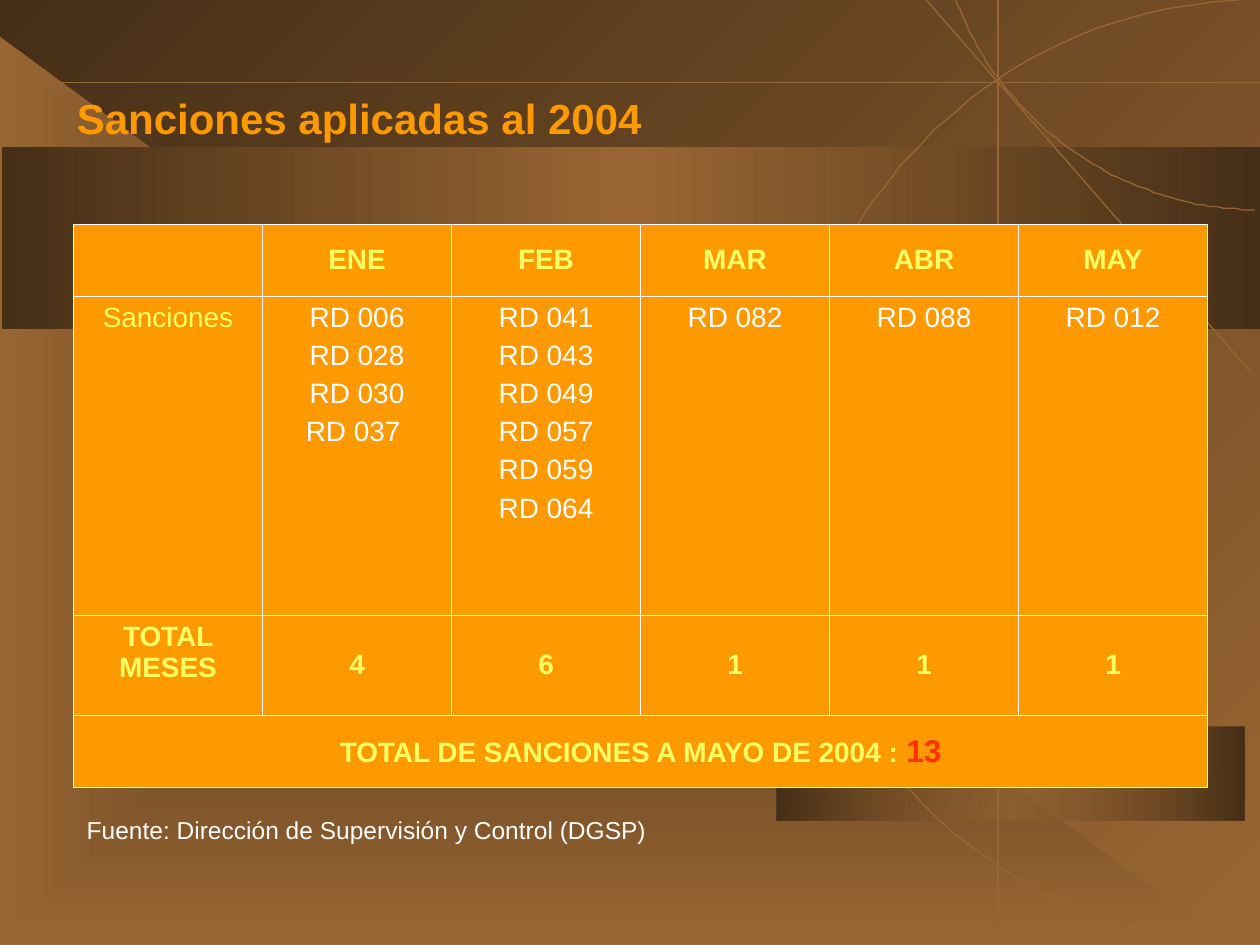
import math

import pptx
import pptx.dml.color
import pptx.enum.shapes
import pptx.enum.text
import pptx.oxml.ns
import pptx.util
from lxml import etree

Pt = pptx.util.Pt
qn = pptx.oxml.ns.qn
SHAPES = pptx.enum.shapes.MSO_SHAPE
ALIGN = pptx.enum.text.PP_ALIGN
ANCHOR = pptx.enum.text.MSO_ANCHOR
BROWN, DARK, ORANGE = "996633", "462F17", "FF9900"
YELLOW, WHITE, RED = "FFFF66", "FFFFFF", "FF3300"
SHEEN = [(0, DARK, 100), (50, BROWN, 100), (100, DARK, 100)]
CLEAR_SHEEN = [(0, DARK, 100), (50, BROWN, 50), (100, DARK, 100)]
MONTHS = {
    "ENE": ["RD 006", "RD 028", "RD 030", "RD 037 "],
    "FEB": ["RD 041", "RD 043", "RD 049", "RD 057", "RD 059", "RD 064"],
    "MAR": ["RD 082"],
    "ABR": ["RD 088"],
    "MAY": ["RD 012"],
}


def color(value):
    """Turn a hex string into a colour."""
    return pptx.dml.color.RGBColor.from_string(value)


def add_span(para, text, size, value, bold=False):
    """Add one formatted run to a paragraph."""
    span = para.add_run()
    span.text = text
    span.font.name = "Arial"
    span.font.size = Pt(size)
    span.font.bold = bold
    span.font.color.rgb = color(value)


def set_gradient(fill, element, stops, angle=None):
    """Fill with a linear gradient, or one from the centre without an angle."""
    fill.gradient()
    node = element.find(".//" + qn("a:gradFill"))
    node.clear()
    stop_list = etree.SubElement(node, qn("a:gsLst"))
    for place, value, opacity in stops:
        stop = etree.SubElement(stop_list, qn("a:gs"), pos=str(place * 1000))
        tone = etree.SubElement(stop, qn("a:srgbClr"), val=value)
        if opacity < 100:
            etree.SubElement(tone, qn("a:alpha"), val=str(opacity * 1000))
    if angle is None:
        route = etree.SubElement(node, qn("a:path"), path="rect")
        etree.SubElement(route, qn("a:fillToRect"), l="50000", t="50000", r="50000", b="50000")
    else:
        etree.SubElement(node, qn("a:lin"), ang=str(angle * 60000), scaled="1")


def add_panel(page, kind, box, stops, angle=None):
    """Add a borderless gradient shape."""
    panel = page.shapes.add_shape(kind, *map(Pt, box))
    panel.shadow.inherit = False
    panel.line.fill.background()
    set_gradient(panel.fill, panel.element, stops, angle)


def style_line(line):
    """Give a line the thin brown look."""
    line.color.rgb = color(BROWN)
    line.width = Pt(0.75)


def add_arc(page, center, radius, start, end):
    """Draw an open circular arc between two angles in degrees."""
    steps = 60
    angles = [math.radians(start + (end - start) * step / steps) for step in range(steps + 1)]
    points = [(center[0] + radius * math.cos(angle), center[1] + radius * math.sin(angle))
              for angle in angles]
    builder = page.shapes.build_freeform(*points[0], scale=Pt(1))
    builder.add_line_segments(points[1:], close=False)
    arc = builder.convert_to_shape()
    arc.shadow.inherit = False
    arc.fill.background()
    style_line(arc.line)


def add_ray(page, start, end):
    """Draw a thin straight line."""
    ray = page.shapes.add_connector(
        pptx.enum.shapes.MSO_CONNECTOR.STRAIGHT, *map(Pt, start + end))
    style_line(ray.line)
    etree.SubElement(ray.element.spPr, qn("a:effectLst"))


def add_backdrop(page, width, height):
    """Draw the gradient background with its panels, arcs and rays."""
    set_gradient(page.background.fill, page.element, [(0, BROWN, 100), (100, DARK, 100)], 225)
    add_panel(page, SHAPES.RIGHT_TRIANGLE, (0, 21, 702, height - 21),
              [(0, DARK, 100), (100, BROWN, 100)])
    add_panel(page, SHAPES.RECTANGLE, (444, 415, 267, 54), CLEAR_SHEEN, 180)
    add_panel(page, SHAPES.RECTANGLE, (1.2, 84, width - 1.2, 104), SHEEN, 180)
    add_arc(page, (width, height / 2), height / 2, 267.5, 92)
    add_arc(page, (width, -66), 186, 159.5, 90.8)
    add_ray(page, (715, 213), (528.5, -1))
    add_ray(page, (570.3, 0), (570.3, 536))
    add_ray(page, (0, 47), (width, 47))


def add_title(page, box, text):
    """Place the title placeholder in front of the backdrop."""
    title = page.shapes.title
    page.shapes.element.append(title.element)
    title.left, title.top, title.width, title.height = map(Pt, box)
    frame = title.text_frame
    frame.auto_size = pptx.enum.text.MSO_AUTO_SIZE.NONE
    frame.vertical_anchor = ANCHOR.MIDDLE
    para = frame.paragraphs[0]
    para.alignment = ALIGN.LEFT
    add_span(para, text, 24, ORANGE, True)


def add_source_note(page, box, text):
    """Place the line that names the data source."""
    frame = page.shapes.add_textbox(*map(Pt, box)).text_frame
    frame.word_wrap = True
    add_span(frame.paragraphs[0], text, 14, WHITE)


def set_borders(cell, edges):
    """Draw white cell borders, heavier on the outer edges."""
    properties = cell._tc.get_or_add_tcPr()
    for index, (side, outer) in enumerate(zip("LRTB", edges)):
        border = etree.Element(qn("a:ln" + side), w=str(Pt(1.08 if outer else 0.45)))
        fill = etree.SubElement(border, qn("a:solidFill"))
        etree.SubElement(fill, qn("a:srgbClr"), val=WHITE)
        properties.insert(index, border)


def fill_cell(cell, lines, value, bold, anchor=ANCHOR.MIDDLE):
    """Write centred lines into a cell."""
    cell.vertical_anchor = anchor
    frame = cell.text_frame
    for index, text in enumerate(lines):
        para = frame.add_paragraph() if index else frame.paragraphs[0]
        para.alignment = ALIGN.CENTER
        if index:
            para.space_before = Pt(4)
        add_span(para, text, 16, value, bold)


def add_sanctions_table(page, box, heights):
    """Add the table of sanctions by month with its totals."""
    rows, columns = len(heights), len(MONTHS) + 1
    table = page.shapes.add_table(rows, columns, *map(Pt, box)).table
    table.first_row = table.horz_banding = False
    for row, height in zip(table.rows, heights):
        row.height = Pt(height)
    for row in range(rows):
        for column in range(columns):
            cell = table.cell(row, column)
            cell.fill.solid()
            cell.fill.fore_color.rgb = color(ORANGE)
            set_borders(cell, (column == 0, column == columns - 1, row == 0, row == rows - 1))
    fill_cell(table.cell(1, 0), ["Sanciones"], YELLOW, False, ANCHOR.TOP)
    fill_cell(table.cell(2, 0), ["TOTAL MESES"], YELLOW, True, ANCHOR.TOP)
    for column, (month, sanctions) in enumerate(MONTHS.items(), 1):
        fill_cell(table.cell(0, column), [month], YELLOW, True)
        fill_cell(table.cell(1, column), sanctions, WHITE, False, ANCHOR.TOP)
        fill_cell(table.cell(2, column), [str(len(sanctions))], YELLOW, True)
    total = table.cell(rows - 1, 0)
    total.merge(table.cell(rows - 1, columns - 1))
    fill_cell(total, ["TOTAL DE SANCIONES A MAYO DE 2004 : "], YELLOW, True)
    count = sum(map(len, MONTHS.values()))
    add_span(total.text_frame.paragraphs[0], str(count), 18, RED, True)


def main():
    """Build and save the deck."""
    deck = pptx.Presentation()
    deck.slide_width, deck.slide_height = Pt(720), Pt(540)
    page = deck.slides.add_slide(deck.slide_layouts[5])
    add_backdrop(page, 720, 540)
    add_title(page, (36.7, 43.2, 588, 48), "Sanciones aplicadas al 2004")
    add_source_note(page, (42.5, 462.2, 438, 24.5),
                    "Fuente: Dirección de Supervisión y Control (DGSP)")
    add_sanctions_table(page, (42, 128.2, 648, 321.8), (41, 182.2, 57.4, 41.2))
    deck.save("out.pptx")


if __name__ == "__main__":
    main()
